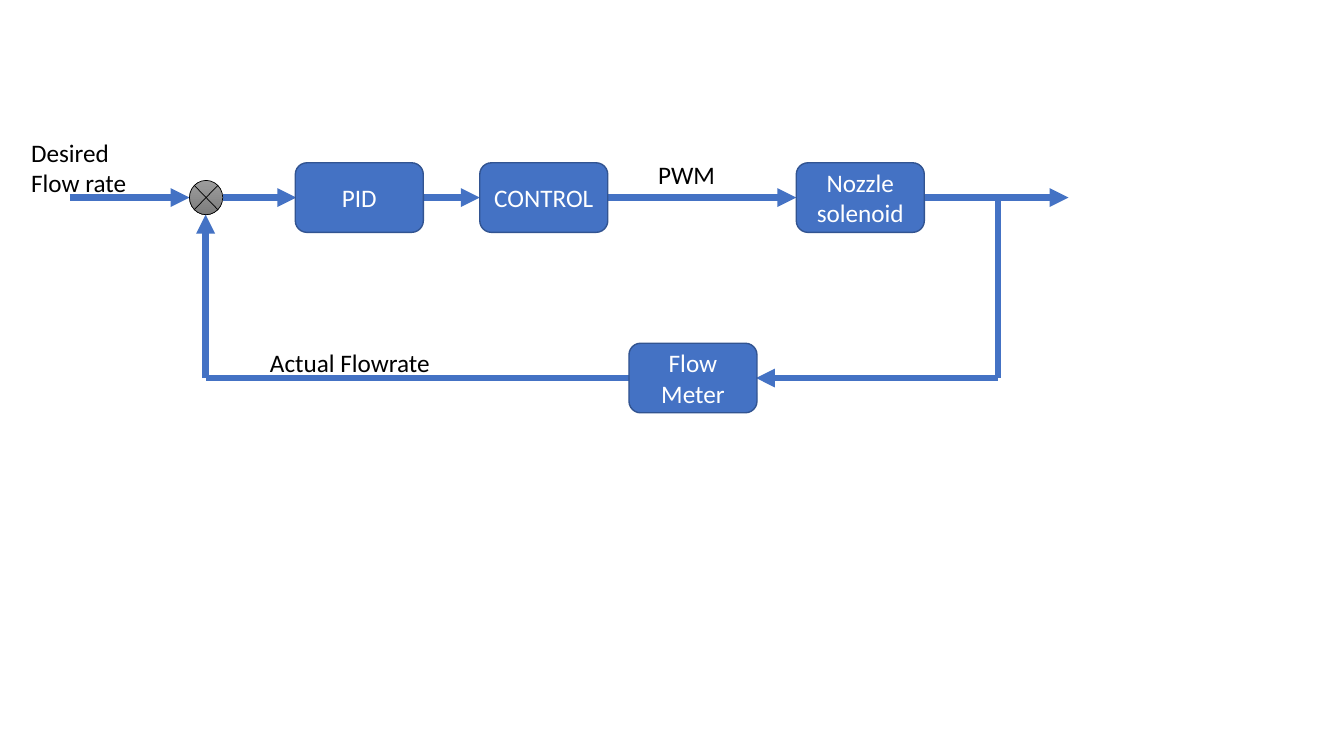
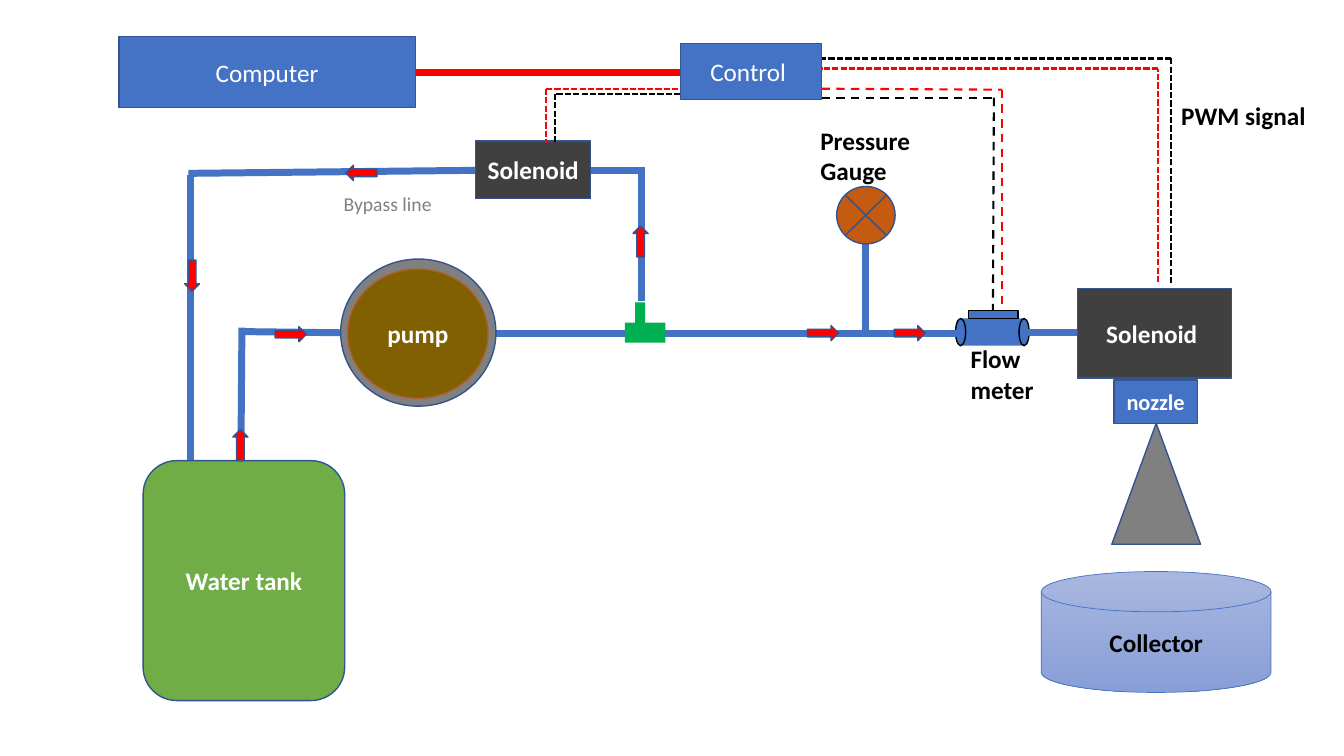
"""Build two slides: a flow-rate control loop and the spray test rig behind it."""
from lxml import etree
from pptx import Presentation
from pptx.dml.color import RGBColor
from pptx.enum.dml import MSO_LINE
from pptx.enum.shapes import MSO_CONNECTOR, MSO_SHAPE
from pptx.enum.text import MSO_ANCHOR, PP_ALIGN
from pptx.oxml.ns import qn
from pptx.util import Inches, Pt

RECT = MSO_SHAPE.RECTANGLE
ROUNDED = MSO_SHAPE.ROUNDED_RECTANGLE
OVAL = MSO_SHAPE.OVAL
JUNCTION = MSO_SHAPE.FLOWCHART_SUMMING_JUNCTION
DISK = MSO_SHAPE.FLOWCHART_MAGNETIC_DISK
TRIANGLE = MSO_SHAPE.ISOSCELES_TRIANGLE
ARROW = MSO_SHAPE.RIGHT_ARROW
STRAIGHT = MSO_CONNECTOR.STRAIGHT
DASH = MSO_LINE.DASH
SHORT_DASH = MSO_LINE.SQUARE_DOT
CENTER = PP_ALIGN.CENTER
MIDDLE = MSO_ANCHOR.MIDDLE

FONT = "Calibri"
CELL = 0.1
SLIDE_COLUMNS, SLIDE_ROWS = 133.33, 75
BLANK_LAYOUT = 6
COLORS = {
    "blue": "4472C4", "outline": "325491", "red": "FF0000", "black": "000000",
    "white": "FFFFFF", "gray": "808080", "dark": "404040", "green": "70AD47",
    "tee": "00B050", "orange": "C55A11", "brown": "806000", "rim": "AF5C24",
    "steel_top": "9D9D9D", "steel_bottom": "7C7C7C",
    "water_top": "A8B7DF", "water_bottom": "889ED7",
}


def color(name):
    """Return the named colour."""
    return RGBColor.from_string(COLORS[name])


def cells(*lengths):
    """Turn grid cells into slide lengths."""
    return [Inches(length * CELL) for length in lengths]


def write(shape, text, ink, size=18, bold=False, align=None):
    """Fill a shape with text and format all of its runs."""
    shape.text_frame.text = text
    for para in shape.text_frame.paragraphs:
        para.alignment = align
        for span in para.runs:
            span.font.name = FONT
            span.font.size = Pt(size)
            span.font.bold = bold
            span.font.color.rgb = color(ink)


def paint(shape, fill, outline="outline", width=1):
    """Give a shape a plain or two-colour fill and an outline or none."""
    shape.shadow.inherit = False
    if isinstance(fill, tuple):
        shape.fill.gradient()
        shape.fill.gradient_angle = 270
        for stop, name in zip(shape.fill.gradient_stops, fill):
            stop.color.rgb = color(name)
    else:
        shape.fill.solid()
        shape.fill.fore_color.rgb = color(fill)
    if outline:
        shape.line.color.rgb = color(outline)
        shape.line.width = Pt(width)
    else:
        shape.line.fill.background()


def add_part(page, kind, place, fill, text="", ink="white", size=18, bold=True,
             outline="outline", width=1):
    """Add a preset shape with an optional centred caption."""
    part = page.shapes.add_shape(kind, *cells(*place))
    paint(part, fill, outline, width)
    if text:
        part.text_frame.vertical_anchor = MIDDLE
        write(part, text, ink, size, bold, CENTER)
    return part


def add_label(page, place, text, ink="black", size=18, bold=True):
    """Add an unwrapped label."""
    label = page.shapes.add_textbox(*cells(*place))
    label.text_frame.word_wrap = False
    write(label, text, ink, size, bold)


def add_route(page, points, ink="blue", width=5, dash=None, arrow=False):
    """Join points with straight lines, the last one with an optional arrowhead."""
    for start, end in zip(points, points[1:]):
        link = page.shapes.add_connector(STRAIGHT, *cells(*start, *end))
        link.line.color.rgb = color(ink)
        link.line.width = Pt(width)
        if dash:
            link.line.dash_style = dash
        properties = link.element.find(qn("p:spPr"))
        if arrow and end == points[-1]:
            outline = properties.find(qn("a:ln"))
            etree.SubElement(outline, qn("a:tailEnd"), type="triangle")
        etree.SubElement(properties, qn("a:effectLst"))


def add_flow_arrow(page, left, top, rotation=0):
    """Add a small red arrow that shows the flow direction."""
    arrow = add_part(page, ARROW, (left, top, 3.1, 1.5), "red")
    arrow.rotation = rotation


def add_flow_meter(page):
    """Add the grouped flow meter: body, two flanges and a cap."""
    meter = page.shapes.add_group_shape()
    add_part(meter, RECT, (95.3, 31.6, 6.4, 2.7), "blue", outline=None)
    for left in (94.8, 101.1):
        add_part(meter, OVAL, (left, 31.6, 1, 2.7), "blue", outline="black")
    add_part(meter, RECT, (96.1, 30.8, 4.9, 0.8), "blue", outline="black")


def add_tee(page):
    """Add the T-shaped pipe fitting."""
    outline = [(61.7, 32.5), (62.9, 32.5), (62.9, 29.9), (64.3, 29.9),
               (64.3, 32.5), (65.5, 32.5), (65.5, 33.7), (61.7, 33.7)]
    builder = page.shapes.build_freeform(*outline[0], scale=Inches(CELL))
    builder.add_line_segments(outline[1:], close=True)
    paint(builder.convert_to_shape(), "tee", None)


def build_control_loop(page):
    """Draw the closed loop with its forward axis and return path."""
    forward, back, block_width, block_height = 19.6, 37.5, 12.7, 6.9
    junction, branch = 20.4, 99
    for start, end in ((6.9, 18.8), (22.1, 29.4), (41.9, 47.6),
                       (60.3, 79), (91.7, 106)):
        add_route(page, [(start, forward), (end, forward)], width=4.5, arrow=True)
    add_route(page, [(branch, forward), (branch, back), (75, back)],
              width=4.5, arrow=True)
    add_route(page, [(62.4, back), (junction, back), (junction, 21.3)],
              width=4.5, arrow=True)
    add_part(page, JUNCTION, (18.8, 17.9, 3.3, 3.4),
             ("steel_top", "steel_bottom"), outline="black", width=0.5)
    for left, axis, text in ((29.3, forward, "PID"), (47.6, forward, "CONTROL"),
                             (79, forward, "Nozzle solenoid"),
                             (62.4, back, "Flow\nMeter")):
        place = (left, axis - block_height / 2, block_width, block_height)
        add_part(page, ROUNDED, place, "blue", text, bold=False)
    add_label(page, (2.1, 13.1, 11.5, 7.1), "Desired\nFlow rate", bold=False)
    add_label(page, (25.8, 34, 18.6, 4), "Actual Flowrate", bold=False)
    add_label(page, (64.3, 15.3, 7.7, 4), "PWM", bold=False)


def build_test_rig(page):
    """Draw the rig: pipes, devices, signal wires, flow arrows and labels."""
    add_flow_meter(page)
    for pipe in (
        [(49.2, 33.1), (95.3, 33.1)],
        [(23.9, 45.7), (24, 32.5)],
        [(24.2, 32.9), (49.2, 33.2)],
        [(85.9, 32.9), (85.9, 24.2)],
        [(101.6, 33), (106.9, 33)],
        [(18.7, 17.2), (47.2, 16.9)],
        [(18.9, 45.7), (18.9, 17.4)],
        [(58.6, 16.9), (64, 16.9)],
        [(63.6, 17), (63.6, 29.9)],
    ):
        add_route(page, pipe)
    add_route(page, [(41.2, 7.2), (67.5, 7.2)], "red")

    add_part(page, ROUNDED, (14.2, 45.7, 20, 23.8), "green", "Water tank")
    add_part(page, OVAL, (33.8, 25.7, 15.4, 14.6), "gray")
    add_part(page, OVAL, (34.5, 26.7, 13.9, 12.8), "brown", "pump", outline="rim")
    for place in ((106.9, 28.6, 15.3, 8.9), (47.2, 14, 11.4, 5.7)):
        add_part(page, RECT, place, "dark", "Solenoid ")
    add_part(page, TRIANGLE, (110.3, 42, 8.8, 12), "gray")
    add_part(page, RECT, (110.5, 37.7, 8.3, 4.3), "blue", "nozzle", size=16)
    add_part(page, DISK, (103.3, 56.7, 22.8, 12), ("water_top", "water_bottom"),
             "Collector", "black", outline="blue", width=0.5)
    add_part(page, JUNCTION, (83, 18.5, 5.8, 5.7), "orange")
    add_part(page, RECT, (11.8, 3.6, 29.4, 7.1), "blue", "Computer", bold=False)
    add_part(page, RECT, (67.5, 4.3, 14, 5.6), "blue", "Control ", bold=False)
    add_tee(page)

    for ink, dash, wire in (
        ("black", DASH, [(81.5, 9.7), (98.6, 9.7), (98.5, 30.8)]),
        ("red", DASH, [(81.5, 8.8), (99.4, 8.9), (99.4, 30.7)]),
        ("black", SHORT_DASH, [(67.5, 9.3), (55.1, 9.3), (55.1, 14.2)]),
        ("red", SHORT_DASH, [(67.3, 8.8), (54.2, 8.8), (54.2, 14.2)]),
        ("black", SHORT_DASH, [(116.2, 28.1), (116.2, 5.8), (81.5, 5.8)]),
        ("red", SHORT_DASH, [(114.9, 28), (114.9, 6.8), (81.5, 6.8)]),
    ):
        add_route(page, wire, ink, 1.5, dash)

    for arrow in ((27.3, 32.4), (80.1, 32.3), (88.7, 32.3), (22.3, 43.4, 270),
                  (62, 23.2, 270), (34.3, 16.4, 180), (17.5, 26.6, 90)):
        add_flow_arrow(page, *arrow)

    add_label(page, (80.4, 11.9, 11.6, 7.1), "Pressure\nGauge")
    add_label(page, (95.3, 33.6, 8.3, 7.1), "Flow\nmeter")
    add_label(page, (116.2, 9.5, 14.5, 4), "PWM signal")
    add_label(page, (33.1, 18.6, 10.9, 3.4), "Bypass line", "gray", 14, False)


def main():
    """Create the deck and save it."""
    deck = Presentation()
    deck.slide_width, deck.slide_height = cells(SLIDE_COLUMNS, SLIDE_ROWS)
    for build in (build_control_loop, build_test_rig):
        build(deck.slides.add_slide(deck.slide_layouts[BLANK_LAYOUT]))
    deck.save("out.pptx")


if __name__ == "__main__":
    main()
